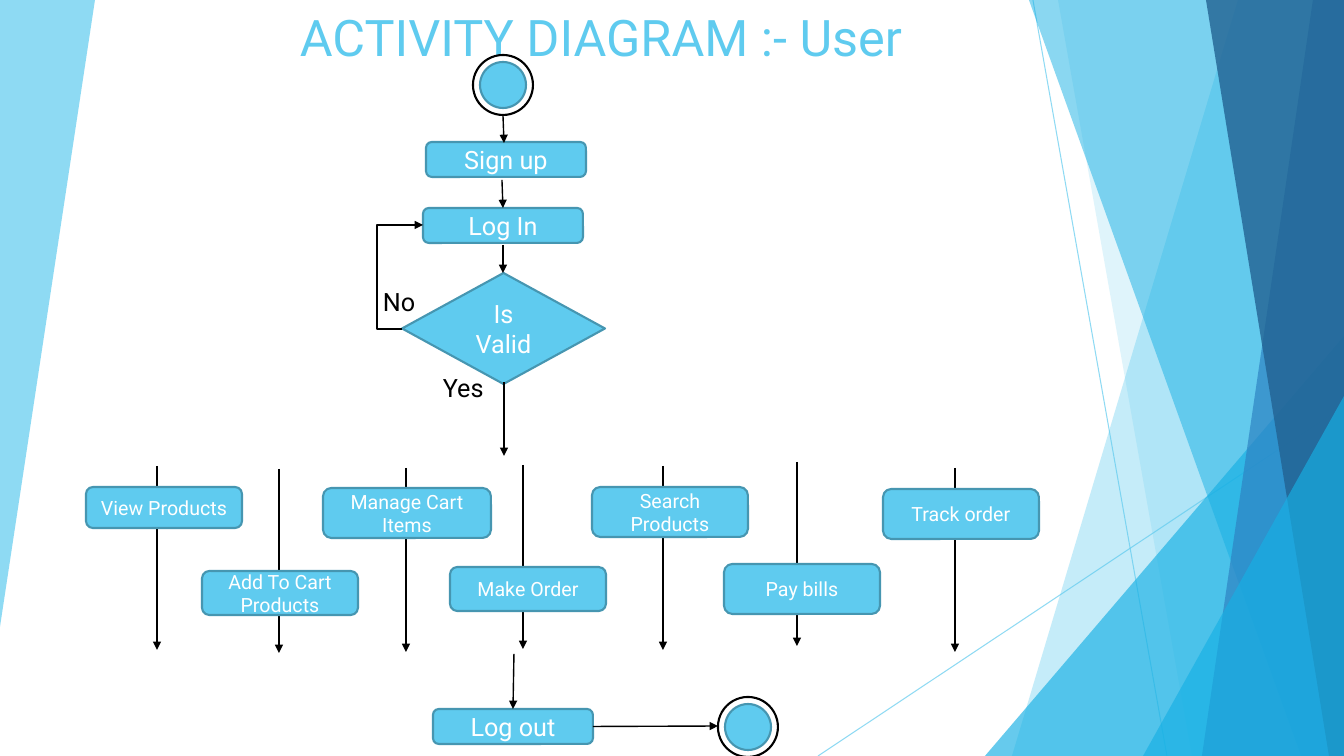
from lxml import etree
from pptx import Presentation
from pptx.dml.color import RGBColor
from pptx.enum import shapes, text
from pptx.oxml.ns import qn
from pptx.util import Emu, Pt

PX = 914400 / 100.8
WIDE, HIGH = 1344, 756
SKY, EDGE, AQUA, BLACK, WHITE = "5FCBEF", "4696B1", "17B0E4", "000000", "FFFFFF"
FONT = "Roboto"
KIND = shapes.MSO_SHAPE

# Backdrop: bands are (top left x, bottom left x, colour, opacity %)
CORNER = [(0, 0), (95, 0), (0, 627)]
RAYS = [(1033, 0, 1167, HIGH), (WIDE, 406, 818, HIGH)]
BACK = [(1238, 1012, SKY, 36), (1058, 1192, SKY, 20)]
FRONT = [(1029, 1301, AQUA, 50), (1313, 1202, "2E83C3", 70), (1206, 1329, "226292", 80)]
PEAKS = [(985, 336), (1143, 396)]

# Flow: labels are (text, left, top, width, height, size)
TITLE = ("ACTIVITY DIAGRAM :- User", 290, 0, 671, 72, 36)
LABELS = [("No", 373, 281, 80, 40, 18), ("Yes", 433, 367, 80, 40, 18)]
STEPS = {"Sign up": (426, 142), "Log In": (423, 208), "Log out": (433, 709)}
STEP = (160, 35)
CHECK = ("Is Valid", 402, 273, 203, 111)
RINGS = [(473, 55), (718, 697)]
RING, GAP = 60, 7
# (from x, from y, to x, to y, step joined at start, step joined at end)
ARROWS = [
    (503, 115, 504, 143, None, None),
    (502, 180, 503, 208, None, ("Log In", 0)),
    (503, 245, 503, 273, None, None),
    (504, 382, 504, 456, None, None),
    (514, 654, 514, 709, None, ("Log out", 0)),
    (593, 726, 718, 726, ("Log out", 3), None),
]
LOOP = (402, 329, 423, 225)
LOOP_X = 377

# Actions: (text, line x, line top, box left, top, width, height)
DROP = 184
ACTIONS = [
    ("View Products", 157, 466, 86, 487, 156, 41),
    ("Add To Cart Products", 279, 469, 202, 571, 156, 44),
    ("Manage Cart Items", 406, 468, 323, 488, 168, 50),
    ("Make Order", 523, 465, 450, 567, 156, 44),
    ("Search Products", 663, 466, 592, 487, 156, 50),
    ("Pay bills", 797, 462, 724, 564, 156, 50),
    ("Track order", 955, 468, 883, 489, 156, 50),
]

deck = Presentation()
deck.slide_width, deck.slide_height = Emu(round(WIDE * PX)), Emu(round(HIGH * PX))
slide = deck.slides.add_slide(deck.slide_layouts[6])
items = slide.shapes


def px(*vals):
    return [Emu(round(v * PX)) for v in vals]


def color(code):
    return RGBColor.from_string(code)


def fade(form, alpha):
    tint = form._xFill.find(qn("a:srgbClr"))
    etree.SubElement(tint, qn("a:alpha"), val=str(alpha * 1000))


def paint(item, fill=None, line=None, alpha=100):
    item.shadow.inherit = False
    if fill:
        item.fill.solid()
        item.fill.fore_color.rgb = color(fill)
        if alpha < 100:
            tint = item._element.spPr.find(".//" + qn("a:srgbClr"))
            etree.SubElement(tint, qn("a:alpha"), val=str(alpha * 1000))
    else:
        item.fill.background()
    if line:
        item.line.color.rgb = color(line)
        item.line.width = Pt(1.5)
    else:
        item.line.fill.background()
    return item


def write(item, words, size, ink, align, anchor):
    frame = item.text_frame
    frame.word_wrap = True
    frame.vertical_anchor = anchor
    para = frame.paragraphs[0]
    para.alignment = align
    run = para.add_run()
    run.text = words
    for key, val in {"name": FONT, "size": Pt(size)}.items():
        setattr(run.font, key, val)
    run.font.color.rgb = color(ink)


def box(kind, words, spot, size):
    item = paint(items.add_shape(kind, *px(*spot)), SKY, EDGE)
    write(item, words, size, WHITE, text.PP_ALIGN.CENTER, text.MSO_ANCHOR.MIDDLE)
    return item


def label(words, left, top, width, high, size, ink=BLACK, anchor=text.MSO_ANCHOR.TOP):
    item = items.add_textbox(*px(left, top, width, high))
    write(item, words, size, ink, text.PP_ALIGN.LEFT, anchor)


def link(ends, ink=BLACK, width=1, alpha=100, head=True, kind=shapes.MSO_CONNECTOR.STRAIGHT):
    item = items.add_connector(kind, *px(*ends))
    item.line.color.rgb = color(ink)
    item.line.width = Pt(width)
    props = item._element.spPr
    if alpha < 100:
        tint = props.find(".//" + qn("a:srgbClr"))
        etree.SubElement(tint, qn("a:alpha"), val=str(alpha * 1000))
    if head:
        etree.SubElement(props.find(qn("a:ln")), qn("a:tailEnd"), type="triangle")
    etree.SubElement(props, qn("a:effectLst"))
    return item


def patch(points, fill, alpha):
    pen = items.build_freeform(*points[0], scale=PX)
    pen.add_line_segments(points[1:], close=True)
    paint(pen.convert_to_shape(), fill, alpha=alpha)


def bands(rows):
    for top, foot, fill, alpha in rows:
        patch([(top, 0), (WIDE, 0), (WIDE, HIGH), (foot, HIGH)], fill, alpha)


def peak(left, top):
    item = items.add_shape(KIND.ISOSCELES_TRIANGLE, *px(left, top, WIDE - left, HIGH - top))
    item.adjustments[0] = 1
    paint(item, AQUA, alpha=66)


# Backdrop
patch(CORNER, SKY, 70)
for ray in RAYS:
    link(ray, SKY, 0.75, 70, head=False)
bands(BACK)
peak(*PEAKS[0])
bands(FRONT)
peak(*PEAKS[1])

# Title, start and end marks
label(*TITLE, ink=SKY, anchor=text.MSO_ANCHOR.BOTTOM)
for left, top in RINGS:
    for inset, fill, line in [(0, None, BLACK), (GAP, SKY, EDGE)]:
        side = RING - 2 * inset
        spot = px(left + inset, top + inset, side, side)
        paint(items.add_shape(KIND.FLOWCHART_CONNECTOR, *spot), fill, line)

# Steps and check
steps = {name: box(KIND.ROUNDED_RECTANGLE, name, spot + STEP, 18) for name, spot in STEPS.items()}
box(KIND.FLOWCHART_DECISION, CHECK[0], CHECK[1:], 18)
for row in LABELS:
    label(*row)

# Arrows between steps
for *ends, start, stop in ARROWS:
    arrow = link(ends)
    if start:
        arrow.begin_connect(steps[start[0]], start[1])
    if stop:
        arrow.end_connect(steps[stop[0]], stop[1])

# Loop back to log in
loop = link(LOOP, kind=shapes.MSO_CONNECTOR.ELBOW)
bend = round((LOOP_X - LOOP[0]) / (LOOP[2] - LOOP[0]) * 100000)
guides = loop._element.spPr.find(qn("a:prstGeom")).find(qn("a:avLst"))
etree.SubElement(guides, qn("a:gd"), name="adj1", fmla=f"val {bend}")

# Parallel actions
for name, mid, top, *spot in ACTIONS:
    link((mid, top, mid, top + DROP))
    box(KIND.ROUNDED_RECTANGLE, name, spot, 14)

deck.save("out.pptx")
